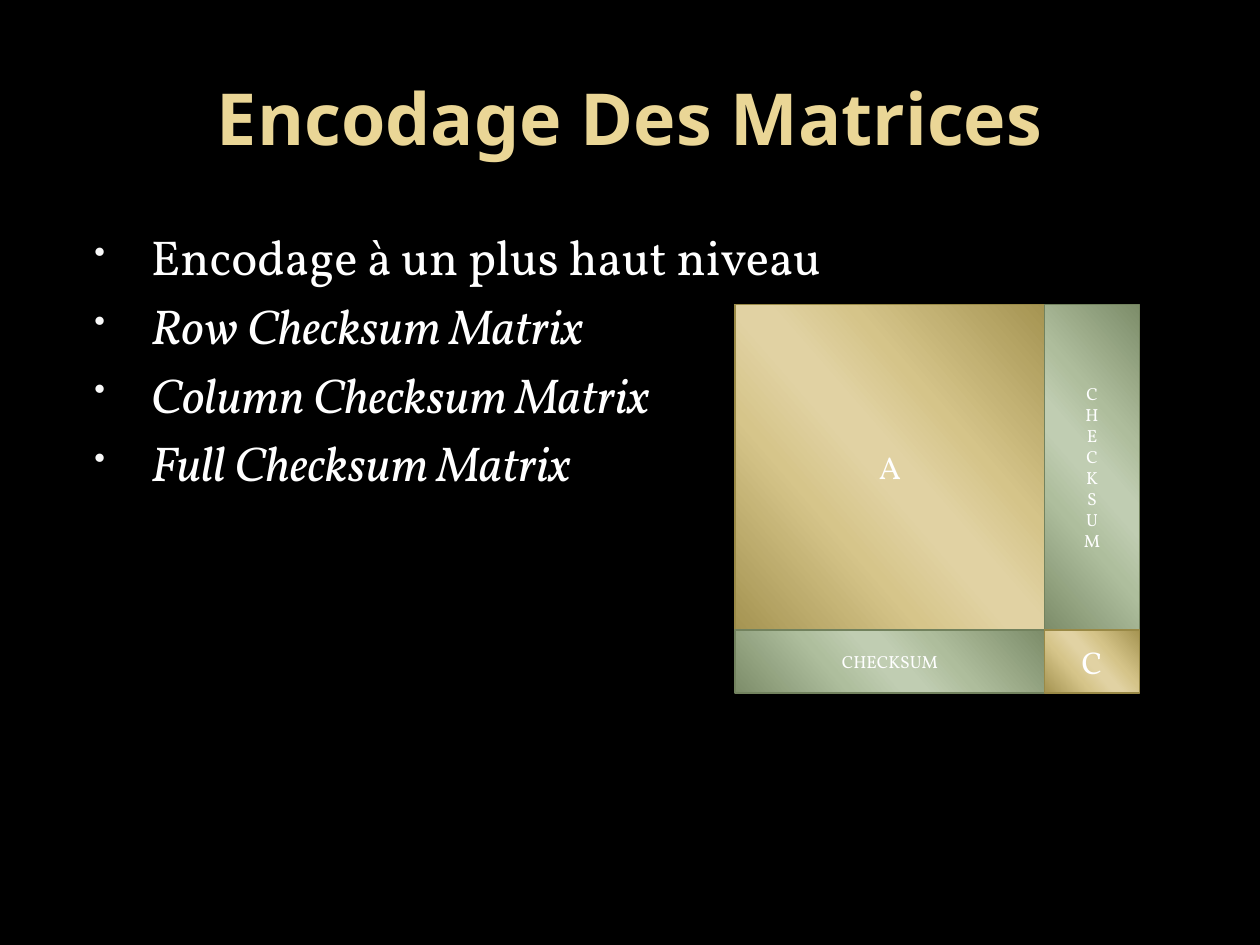
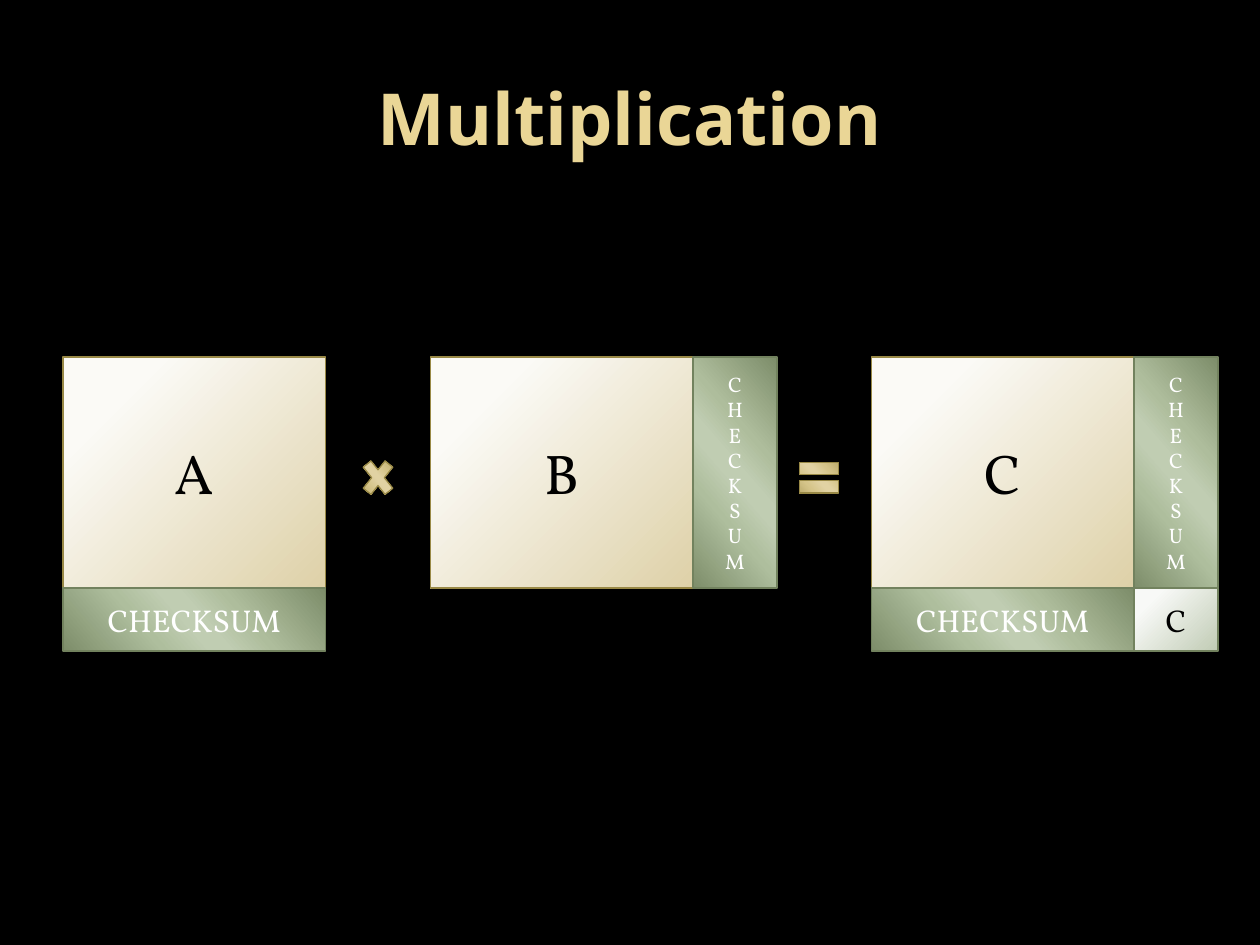
from dataclasses import dataclass

from pptx import Presentation
from pptx.dml.color import RGBColor
from pptx.enum.shapes import MSO_SHAPE
from pptx.enum.text import MSO_ANCHOR, PP_ALIGN
from pptx.oxml import parse_xml
from pptx.oxml.ns import nsdecls
from pptx.util import Pt


@dataclass(frozen=True)
class Finish:
    stops: tuple
    direction: str
    line: str
    text: str


DIAGONAL = '<a:lin ang="8340000" scaled="0"/>'
FROM_CORNER = ('<a:path path="circle"><a:fillToRect l="-15000" t="-15000" '
               'r="115000" b="115000"/></a:path>')


@dataclass(frozen=True)
class Theme:
    background: str = "000000"
    title: str = "EAD696"
    body: str = "FFFFFF"
    bullet: str = "F9F9F9"
    heading_font: str = "Noto Sans"
    body_font: str = "Vollkorn"
    title_size: float = 41
    body_size: float = 28
    factor_size: float = 32
    label_size: float = 18
    gold: Finish = Finish(
        ((0, "A59452"), (33, "D5C489"), (47, "E1D2A3"),
         (53, "E1D2A3"), (68, "D6C58A"), (100, "A59452")),
        DIAGONAL, "998946", "FFFFFF")
    green: Finish = Finish(
        ((0, "7D8D6A"), (33, "AEBD9C"), (47, "C0CDB2"),
         (53, "C0CDB2"), (68, "AEBE9D"), (100, "7D8D6A")),
        DIAGONAL, "72825E", "FFFFFF")
    pale_gold: Finish = Finish(
        ((20, "FBFAF6"), (100, "DED1A8")), FROM_CORNER, "998946", "000000")
    pale_green: Finish = Finish(
        ((20, "F8F9F7"), (100, "C1CCB5")), FROM_CORNER, "72825E", "000000")


THEME = Theme()
CHECKSUM = "CHECKSUM"
CHECKSUM_DOWN = "\n".join(CHECKSUM)


def style_runs(paragraph, font, size, color, bold=False, italic=False):
    for run in paragraph.runs:
        run.font.name = font
        run.font.size = Pt(size)
        run.font.color.rgb = RGBColor.from_string(color)
        run.font.bold = bold
        run.font.italic = italic


def add_text_area(slide, left, top, width, height):
    area = slide.shapes.add_textbox(Pt(left), Pt(top), Pt(width), Pt(height))
    area.text_frame.word_wrap = True
    return area.text_frame


def add_titled_slide(deck, title):
    slide = deck.slides.add_slide(deck.slide_layouts[6])
    slide.background.fill.solid()
    slide.background.fill.fore_color.rgb = RGBColor.from_string(THEME.background)
    heading = add_text_area(slide, 36, 21.6, 648, 90)
    heading.vertical_anchor = MSO_ANCHOR.MIDDLE
    heading.text = title
    heading.paragraphs[0].alignment = PP_ALIGN.CENTER
    style_runs(heading.paragraphs[0], THEME.heading_font, THEME.title_size,
               THEME.title, bold=True)
    return slide


def add_bullets(slide, points):
    """Each point is a pair: wording, italic."""
    body = add_text_area(slide, 36, 126, 648, 370.8)
    body.text = "\n".join(wording for wording, _ in points)
    for paragraph, (_, italic) in zip(body.paragraphs, points):
        style_runs(paragraph, THEME.body_font, THEME.body_size, THEME.body,
                   italic=italic)
        paragraph.space_before = Pt(THEME.body_size * 0.2)
        properties = paragraph._p.get_or_add_pPr()
        properties.set("marL", str(Pt(43.2)))
        properties.set("indent", str(Pt(-32.4)))
        for bullet_part in (
            f'<a:buClr {nsdecls("a")}><a:srgbClr val="{THEME.bullet}"/></a:buClr>',
            f'<a:buSzPct {nsdecls("a")} val="65000"/>',
            f'<a:buChar {nsdecls("a")} char="•"/>',
        ):
            properties.append(parse_xml(bullet_part))


def add_block(slide, kind, left, top, width, height, finish, label="", size=0):
    block = slide.shapes.add_shape(kind, Pt(left), Pt(top), Pt(width), Pt(height))
    stops = "".join(f'<a:gs pos="{position * 1000}"><a:srgbClr val="{color}"/></a:gs>'
                    for position, color in finish.stops)
    # The fill belongs right after the position and the geometry
    block._element.spPr.insert(2, parse_xml(
        f'<a:gradFill {nsdecls("a")} rotWithShape="1"><a:gsLst>{stops}</a:gsLst>'
        f'{finish.direction}</a:gradFill>'))
    block.line.color.rgb = RGBColor.from_string(finish.line)
    block.line.width = Pt(0.75)
    block.shadow.inherit = False
    if label:
        frame = block.text_frame
        frame.text = label
        frame.vertical_anchor = MSO_ANCHOR.MIDDLE
        for paragraph in frame.paragraphs:
            paragraph.alignment = PP_ALIGN.CENTER
            style_runs(paragraph, THEME.body_font, size, finish.text)


def add_matrix(slide, kind, left, top, core, core_label,
               column=None, row=None, corner=None):
    """core: width, height, finish, size; column: width, size;
    row: height, size; corner: finish."""
    width, height, finish, size = core
    right, bottom = left + width, top + height
    add_block(slide, kind, left, top, width, height, finish, core_label, size)
    if column:
        add_block(slide, kind, right, top, column[0], height, THEME.green,
                  CHECKSUM_DOWN, column[1])
    if row:
        add_block(slide, kind, left, bottom, width, row[0], THEME.green,
                  CHECKSUM, row[1])
    if corner:
        add_block(slide, MSO_SHAPE.RECTANGLE, right, bottom, column[0], row[0],
                  corner, "C", THEME.label_size)


def build_encoding(deck):
    slide = add_titled_slide(deck, "Encodage Des Matrices")
    add_bullets(slide, [
        ("Encodage à un plus haut niveau", False),
        ("Row Checksum Matrix", True),
        ("Column Checksum Matrix", True),
        ("Full Checksum Matrix", True),
    ])
    add_matrix(slide, MSO_SHAPE.RECTANGLE, 420, 174,
               (177, 186, THEME.gold, THEME.label_size), "A",
               column=(54, 10), row=(36, 10), corner=THEME.gold)


def build_multiplication(deck):
    slide = add_titled_slide(deck, "Multiplication")
    core = (150, 132, THEME.pale_gold, THEME.factor_size)
    column, row = (48, 12), (36, THEME.label_size)
    process = MSO_SHAPE.FLOWCHART_PROCESS

    # Factors and product
    add_matrix(slide, process, 36, 204, core, "A", row=row)
    add_matrix(slide, process, 246, 204, core, "B", column=column)
    add_matrix(slide, process, 498, 204, core, "C", column=column, row=row,
               corner=THEME.pale_green)

    # Operators
    for operator, left, width in ((MSO_SHAPE.MATH_MULTIPLY, 204, 24),
                                  (MSO_SHAPE.MATH_EQUAL, 453, 30)):
        add_block(slide, operator, left, 258, width, 30, THEME.gold)


def main():
    deck = Presentation()
    deck.slide_width, deck.slide_height = Pt(720), Pt(540)
    build_encoding(deck)
    build_multiplication(deck)
    deck.save("out.pptx")


if __name__ == "__main__":
    main()
